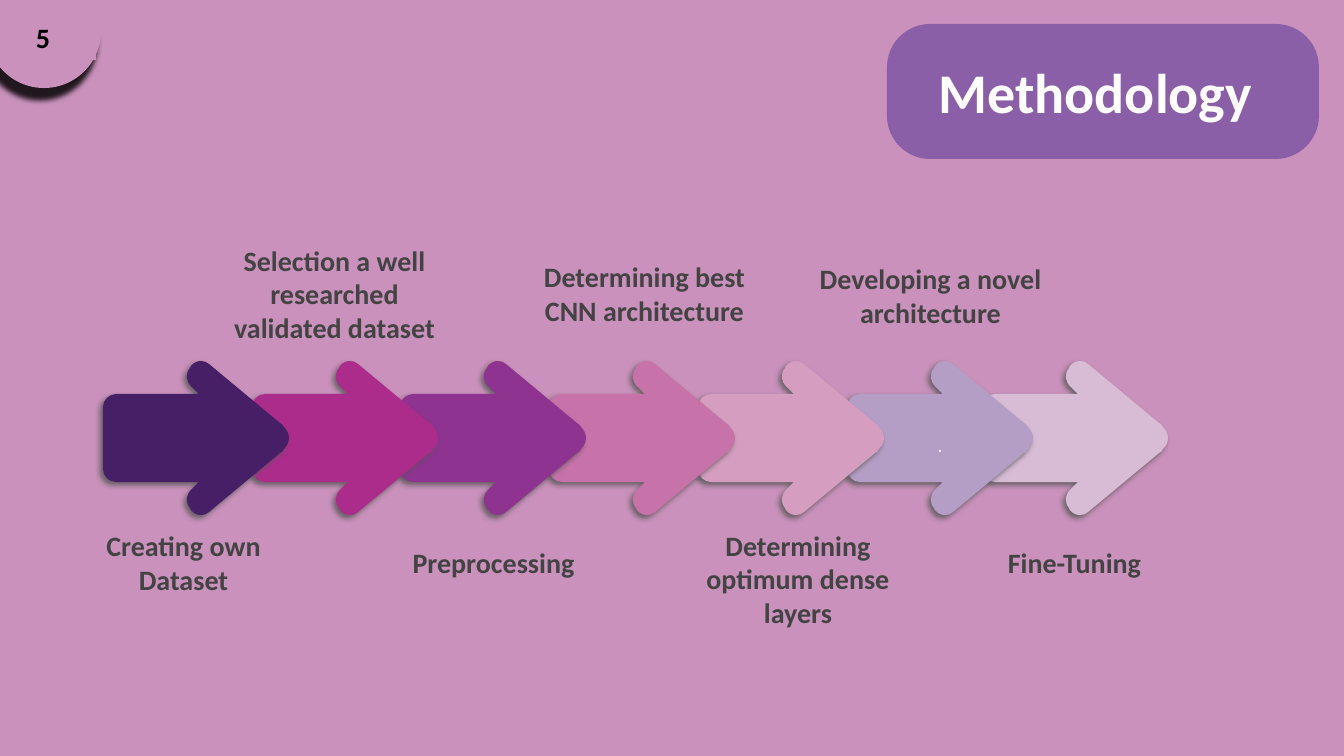
from lxml.etree import SubElement
from pptx import Presentation
from pptx.dml.color import RGBColor
from pptx.enum.shapes import MSO_SHAPE
from pptx.enum.text import MSO_ANCHOR, PP_ALIGN
from pptx.oxml.ns import qn
from pptx.util import Pt

PX = 9071.43
BACK = "C991BB"
PLUM = "8B5EA8"


def paint(shape, color, shade=None):
    shape.fill.solid()
    shape.fill.fore_color.rgb = RGBColor.from_string(color)
    shape.line.fill.background()
    shape.shadow.inherit = False
    if shade:
        tint, dist, angle = shade
        effects = shape._element.spPr.find(qn("a:effectLst"))
        outer = SubElement(effects, qn("a:outerShdw"), blurRad=str(Pt(4)),
                           dist=str(Pt(dist)), dir=str(angle * 60000),
                           algn="ctr", rotWithShape="0")
        ink = SubElement(outer, qn("a:srgbClr"), val=tint)
        SubElement(ink, qn("a:alpha"), val="84000")


def write(shape, text, size, color, align, frame):
    for key, value in frame.items():
        setattr(shape.text_frame, key, value)
    para = shape.text_frame.paragraphs[0]
    para.text = text
    para.alignment = align
    look = {"name": "Calibri", "size": Pt(size), "bold": True}
    for key, value in look.items():
        setattr(para.font, key, value)
    para.font.color.rgb = RGBColor.from_string(color)


deck = Presentation()
deck.slide_width, deck.slide_height = round(1344 * PX), round(756 * PX)
slide = deck.slides.add_slide(deck.slide_layouts[6])
slide.background.fill.solid()
slide.background.fill.fore_color.rgb = RGBColor.from_string(BACK)
shapes = slide.shapes

plain = {"word_wrap": True, "vertical_anchor": MSO_ANCHOR.TOP}
inset = round(10 * PX)
middle = {"word_wrap": True, "vertical_anchor": MSO_ANCHOR.MIDDLE,
          "margin_left": inset, "margin_right": inset,
          "margin_top": inset, "margin_bottom": inset}

panel = shapes.add_shape(MSO_SHAPE.ROUNDED_RECTANGLE,
                         *[round(n * PX) for n in (887, 24, 432, 135)])
panel.adjustments[0] = 0.32
paint(panel, PLUM)
title = shapes.add_shape(MSO_SHAPE.RECTANGLE,
                         *[round(n * PX) for n in (929, 53, 374, 78)])
paint(title, PLUM)
write(title, "Methodology", 40, "FFFFFF", PP_ALIGN.LEFT, plain)

HIGH = 154
START = (186, 77)
upper = [
    [(186, 73), (184, 69), (181, 66)],
    [(180, 64), (179, 63), (177, 62)],
    [(106, 3)],
    [(104, 1), (101, 0), (98, 0)],
    [(95, 0), (91, 1), (88, 5)],
    [(87, 7)],
    [(82, 13), (83, 21), (89, 26)],
    [(96, 33)],
    [(13, 33)],
    [(6, 33), (0, 39), (0, 46)],
]
ends = [START] + [bend[-1] for bend in upper]
lower = []
for end, bend in reversed(list(zip(ends, upper))):
    lower.append([(x, HIGH - y) for x, y in [*reversed(bend[:-1]), end]])
bends = upper + [[(0, HIGH - 46)]] + lower

TOP = 361
stages = [
    ("Creating own Dataset", "461F67", 103, (78, 535, 211)),
    ("Selection a well researched validated dataset", "AC2C8C", 252, (219, 266, 231)),
    ("Preprocessing", "8E338F", 400, (388, 535, 211)),
    ("Determining best CNN architecture", "C872AA", 549, (529, 266, 231)),
    ("Determining optimum dense layers", "D59EC0", 698, (662, 551, 272)),
    ("Developing a novel architecture", "B59EC5", 847, (806, 268, 249)),
    ("Fine-Tuning", "D8BCD6", 982, (969, 535, 211)),
]
for text, color, left, place in reversed(stages):
    pen = shapes.build_freeform(left + START[0], TOP + START[1], scale=PX)
    pen.add_line_segments([(left + bend[-1][0], TOP + bend[-1][1])
                           for bend in bends], close=True)
    arrow = pen.convert_to_shape()
    lines = list(arrow._element.iter(qn("a:lnTo")))
    for line, bend in zip(lines, bends):
        if len(bend) == 3:
            line.tag = qn("a:cubicBezTo")
            line.remove(line[0])
            for x, y in bend:
                SubElement(line, qn("a:pt"), x=str(x), y=str(y))
    paint(arrow, color, ("595959", 3, 135))
    if text.startswith("Developing"):
        dot = shapes.add_shape(MSO_SHAPE.OVAL,
                               *[round(n * PX) for n in (939, 450, 2, 2)])
        paint(dot, "FFFFFF")
    label = shapes.add_textbox(*[round(n * PX) for n in (*place, 55)])
    write(label, text, 20, "434343", PP_ALIGN.CENTER, middle)

badge = shapes.add_shape(MSO_SHAPE.OVAL,
                         *[round(n * PX) for n in (-13, -26, 114, 114)])
paint(badge, BACK, ("000000", 9, 110))
number = shapes.add_shape(MSO_SHAPE.RECTANGLE,
                          *[round(n * PX) for n in (26, 16, 70, 44)])
paint(number, BACK)
write(number, "5", 20, "000000", PP_ALIGN.LEFT, plain)

deck.save("out.pptx")
